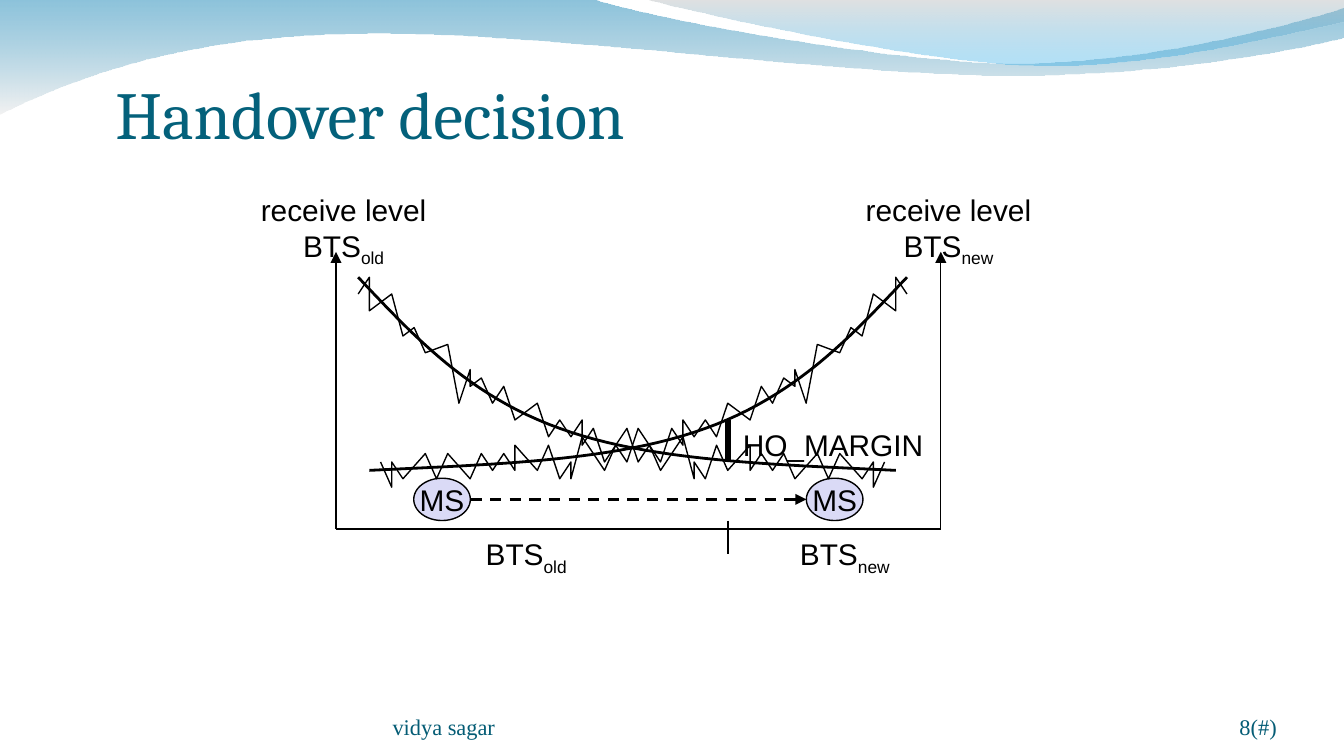
from math import comb
from lxml import etree
from pptx import Presentation
from pptx.dml.color import RGBColor
from pptx.enum.dml import MSO_LINE
from pptx.enum.shapes import MSO_CONNECTOR, MSO_SHAPE
from pptx.enum.text import MSO_ANCHOR, MSO_AUTO_SIZE, PP_ALIGN
from pptx.oxml.ns import qn
from pptx.util import Cm, Pt

COLORS = {"ink": "000000", "title": "04617B", "footer": "045C75", "station": "DADAF6",
          "deep": "0079AF", "pale": "E7E7E7", "grey": "BCBCBC", "sky": "009BE5"}
FONTS = {"title": ("Cambria", 36), "footer": ("Times New Roman", 12), "ink": ("Arial", 16)}
LABEL = {"margin_left": Cm(0.25), "margin_right": Cm(0.25), "margin_top": Cm(0.13),
         "margin_bottom": Cm(0.13), "word_wrap": False, "vertical_anchor": MSO_ANCHOR.TOP,
         "auto_size": MSO_AUTO_SIZE.SHAPE_TO_FIT_TEXT}
STATION = {**LABEL, "vertical_anchor": MSO_ANCHOR.MIDDLE, "auto_size": MSO_AUTO_SIZE.NONE}
FOOTER = {"margin_left": 0, "margin_right": 0, "margin_top": 0, "margin_bottom": 0,
          "word_wrap": True, "vertical_anchor": MSO_ANCHOR.BOTTOM}

presentation = Presentation()
presentation.slide_width, presentation.slide_height = Cm(25.4), Cm(14.29)
slide = presentation.slides.add_slide(presentation.slide_layouts[5])
shapes = slide.shapes


def write(holder, lines, role, align, layout):
    frame = holder.text_frame
    for attribute, value in layout.items():
        setattr(frame, attribute, value)
    for index, (text, subscript) in enumerate(lines):
        paragraph = frame.add_paragraph() if index else frame.paragraphs[0]
        paragraph.alignment = align
        for part, lowered in ((text, False), (subscript, True)):
            if part:
                run = paragraph.add_run()
                run.text = part
                run.font.name, run.font.size = FONTS[role][0], Pt(FONTS[role][1])
                run.font.color.rgb = RGBColor.from_string(COLORS[role])
                if lowered:
                    run.font._element.set("baseline", "-25000")


def outline(start, segments, close=False):
    points = [start]
    for segment in segments:
        controls = [points[-1], *segment]
        degree = len(controls) - 1
        steps = 1 if degree == 1 else 24
        for step in range(1, steps + 1):
            t = step / steps
            weights = [comb(degree, k) * t**k * (1 - t)**(degree - k) for k in range(degree + 1)]
            points.append(tuple(sum(w * c[axis] for w, c in zip(weights, controls)) for axis in (0, 1)))
    emu = [(Cm(x), Cm(y)) for x, y in points]
    builder = shapes.build_freeform(*emu[0])
    builder.add_line_segments(emu[1:], close=close)
    shape = builder.convert_to_shape()
    shape.shadow.inherit = False
    return shape


waves = [
    ((0, 0), [[(11.18, -0.03)],
              [(12.09, 0.3), (16.87, 1.19), (19.25, 1.19)],
              [(21.67, 1.19), (24.33, 0.48), (25.4, 0.15)],
              [(25.43, 0.69)],
              [(24.97, 0.84), (22.1, 1.45), (18.95, 1.42)],
              [(15.8, 1.42), (9.7, 0.53), (6.53, 0.64)],
              [(3.28, 0.69), (1.17, 1.57), (-0.03, 2.16)]],
     (("deep", 45), ("pale", 55))),
    ((12.17, -0.03), [[(12.93, 0.2), (17.32, 1.17), (19.53, 1.24)],
                      [(21.74, 1.32), (24.41, 0.61), (25.4, 0.41)],
                      [(25.4, 0)]],
     (("grey", 45), ("sky", 30))),
]
for start, segments, tints in waves:
    wave = outline(start, segments, close=True)
    wave.line.fill.background()
    wave.fill.gradient()
    wave.fill.gradient_angle = 270
    for stop, (color, opacity) in zip(wave.fill.gradient_stops, tints):
        stop.color.rgb = RGBColor.from_string(COLORS[color])
    for tint, (color, opacity) in zip(wave._element.spPr.iter(qn("a:srgbClr")), tints):
        etree.SubElement(tint, qn("a:alpha")).set("val", str(opacity * 1000))

title = shapes.title
title.left, title.top, title.width, title.height = Cm(2.18), Cm(0.99), Cm(15.21), Cm(1.91)
write(title, [("Handover decision", "")], "title", PP_ALIGN.LEFT, {**FOOTER, "margin_top": Cm(0.13)})

for x, width, text, align in ((7.42, 9.32, "vidya sagar", PP_ALIGN.LEFT),
                              (22.02, 2.11, "8(#)", PP_ALIGN.RIGHT)):
    footer = shapes.add_textbox(Cm(x), Cm(13.23), Cm(width), Cm(0.76))
    write(footer, [(text, "")], "footer", align, FOOTER)

for x in (7.82, 15.24):
    station = shapes.add_shape(MSO_SHAPE.OVAL, Cm(x), Cm(9.04), Cm(1.07), Cm(0.8))
    station.shadow.inherit = False
    station.fill.solid()
    station.fill.fore_color.rgb = RGBColor.from_string(COLORS["station"])
    station.line.color.rgb = RGBColor.from_string(COLORS["ink"])
    station.line.width = Pt(0.75)
    write(station, [("MS", "")], "ink", PP_ALIGN.CENTER, STATION)

for x1, y1, x2, y2, weight, dash, arrow in (
        (6.35, 10, 6.35, 4.76, 0.75, None, True),
        (17.78, 10, 17.78, 4.76, 0.75, None, True),
        (6.35, 10, 17.78, 10, 0.75, None, False),
        (8.89, 9.44, 15.24, 9.44, 1.5, MSO_LINE.DASH, True),
        (13.76, 8.73, 13.76, 7.94, 3, None, False),
        (13.76, 9.84, 13.76, 10.48, 0.75, None, False)):
    stroke = shapes.add_connector(MSO_CONNECTOR.STRAIGHT, Cm(x1), Cm(y1), Cm(x2), Cm(y2))
    stroke.line.color.rgb = RGBColor.from_string(COLORS["ink"])
    stroke.line.width = Pt(weight)
    if dash:
        stroke.line.dash_style = dash
    if arrow:
        etree.SubElement(stroke.line._get_or_add_ln(), qn("a:tailEnd")).set("type", "triangle")
    etree.SubElement(stroke._element.spPr, qn("a:effectLst"))

trend = [(0, 0), (5, 7.1), (10, 14.2), (18, 18), (26, 21.9), (37, 22.3), (48, 23)]
noise = [(0, 2), (1, 0), (1, 4), (3, 2), (4, 7), (5, 6), (6, 9), (8, 8), (9, 15), (10, 11),
         (10, 13), (11, 12), (12, 15), (13, 13), (14, 17), (16, 15), (17, 19), (18, 17),
         (19, 19), (20, 17), (20, 20), (21, 18), (22, 22), (24, 18), (25, 22), (26, 20),
         (27, 23), (29, 19), (30, 24), (30, 22), (31, 24), (32, 20), (33, 23), (35, 20),
         (35, 23), (36, 21), (37, 23), (38, 21), (39, 24), (41, 21), (42, 24), (43, 21),
         (45, 24), (46, 22), (46, 25), (47, 22)]
column, row = 2.54 / 12, 2.54 / 16
for signal, weight in ((trend, 1.5), (noise, 0.75)):
    for mirrored in (False, True):
        points = [(6.77 + (49 - x if mirrored else x) * column, 5.24 + y * row) for x, y in signal]
        size = 3 if signal is trend else 1
        segments = [points[i:i + size] for i in range(1, len(points), size)]
        level = outline(points[0], segments)
        level.fill.background()
        level.line.color.rgb = RGBColor.from_string(COLORS["ink"])
        level.line.width = Pt(weight)

for x, y, width, height, lines, align in (
        (4.67, 3.49, 3.65, 1.7, [("receive level", ""), ("BTS", "old")], PP_ALIGN.CENTER),
        (16.1, 3.49, 3.65, 1.7, [("receive level", ""), ("BTS", "new")], PP_ALIGN.CENTER),
        (13.79, 7.93, 3.95, 0.94, [("HO_MARGIN", "")], PP_ALIGN.LEFT),
        (8.93, 10, 2.1, 1.04, [("BTS", "old")], PP_ALIGN.LEFT),
        (14.87, 10, 2.3, 1.04, [("BTS", "new")], PP_ALIGN.LEFT)):
    label = shapes.add_textbox(Cm(x), Cm(y), Cm(width), Cm(height))
    write(label, lines, "ink", align, LABEL)

presentation.save("out.pptx")
